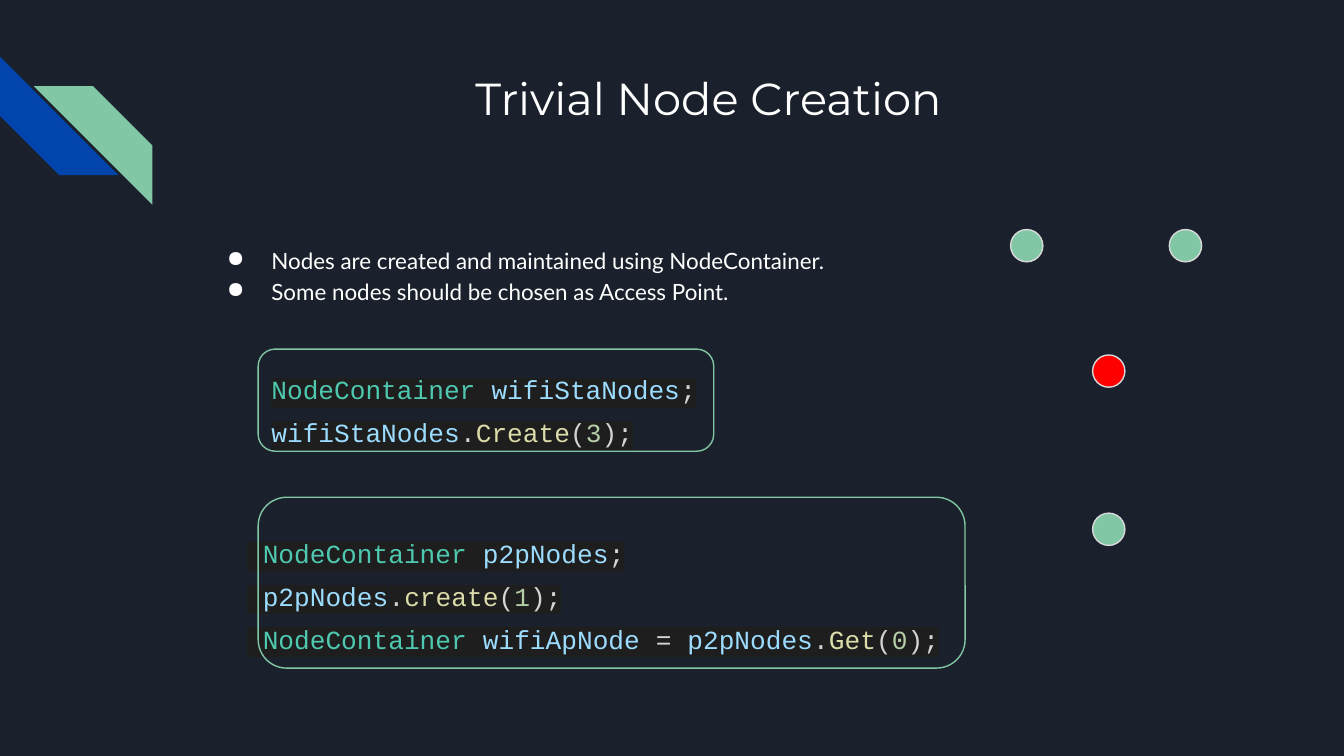
from dataclasses import dataclass

from lxml.etree import SubElement
from pptx import Presentation
from pptx.dml.color import RGBColor
from pptx.enum.shapes import MSO_SHAPE
from pptx.enum.text import PP_ALIGN
from pptx.oxml.ns import qn
from pptx.util import Cm, Pt


@dataclass(frozen=True)
class Theme:
    background: str = "1B212C"
    text: str = "FFFFFF"
    blue: str = "0145AC"
    green: str = "82C7A5"
    red: str = "FF0000"
    outline: str = "D9D9D9"
    code_background: str = "1E1E1E"
    code_type: str = "4EC9B0"
    code_variable: str = "9CDCFE"
    code_function: str = "DCDCAA"
    code_number: str = "B5CEA8"
    code_plain: str = "D4D4D4"
    title_font: str = "Montserrat"
    body_font: str = "Lato"
    code_font: str = "Courier New"
    title_size: int = 24
    body_size: int = 12
    code_size: int = 14
    line_width: float = 0.75


class SlideBuilder:
    def __init__(self, slide, theme):
        self.slide = slide
        self.theme = theme
        slide.background.fill.solid()
        slide.background.fill.fore_color.rgb = RGBColor.from_string(theme.background)

    def shape(self, kind, left, top, width, height, fill=None, line=None):
        shape = self.slide.shapes.add_shape(
            kind, Cm(left), Cm(top), Cm(width), Cm(height)
        )
        shape.shadow.inherit = False
        if fill:
            shape.fill.solid()
            shape.fill.fore_color.rgb = RGBColor.from_string(fill)
        else:
            shape.fill.background()
        if line:
            shape.line.color.rgb = RGBColor.from_string(line)
            shape.line.width = Pt(self.theme.line_width)
        else:
            shape.line.fill.background()
        return shape

    def stripe(self, left, top, color, rotation):
        stripe = self.shape(MSO_SHAPE.DIAGONAL_STRIPE, left, top, 2.24, 2.24, color)
        stripe.rotation = rotation

    def node(self, left, top, color):
        self.shape(MSO_SHAPE.FLOWCHART_CONNECTOR, left, top, 0.61, 0.61,
                   color, self.theme.outline)

    def frame(self, left, top, width, height):
        self.shape(MSO_SHAPE.ROUNDED_RECTANGLE, left, top, width, height,
                   line=self.theme.green)

    def text_box(self, left, top, width, height, lines):
        box = self.slide.shapes.add_textbox(Cm(left), Cm(top), Cm(width), Cm(height))
        text_frame = box.text_frame
        text_frame.word_wrap = True
        text_frame.margin_left = text_frame.margin_right = Cm(0.25)
        text_frame.margin_top = text_frame.margin_bottom = Cm(0.25)
        text_frame.text = "\n".join(lines)
        return text_frame.paragraphs

    def format_run(self, run, font, size, color):
        run.font.name = font
        run.font.size = Pt(size)
        run.font.color.rgb = RGBColor.from_string(color)

    def title(self, left, top, width, height, text):
        theme = self.theme
        for paragraph in self.text_box(left, top, width, height, [text]):
            paragraph.alignment = PP_ALIGN.CENTER
            self.format_run(paragraph.runs[0], theme.title_font,
                            theme.title_size, theme.text)

    def bullets(self, left, top, width, height, lines):
        theme = self.theme
        for paragraph in self.text_box(left, top, width, height, lines):
            paragraph.line_spacing = 1.15
            self.format_run(paragraph.runs[0], theme.body_font,
                            theme.body_size, theme.text)
            properties = paragraph._p.get_or_add_pPr()
            properties.set("marL", str(Cm(1.27)))
            properties.set("indent", str(Cm(-0.84)))
            bullet_color = SubElement(properties, qn("a:buClr"))
            SubElement(bullet_color, qn("a:srgbClr"), val=theme.text)
            SubElement(properties, qn("a:buChar"), char="●")

    def code(self, left, top, width, height, lines):
        theme = self.theme
        paragraphs = self.text_box(left, top, width, height, [""] * len(lines))
        for paragraph, tokens in zip(paragraphs, lines):
            paragraph.line_spacing = 1.36
            for text, color in tokens:
                run = paragraph.add_run()
                run.text = text
                self.format_run(run, theme.code_font, theme.code_size, color)
                self.highlight(run)

    def highlight(self, run):
        properties = run.font._element
        highlight = SubElement(properties, qn("a:highlight"))
        SubElement(highlight, qn("a:srgbClr"), val=self.theme.code_background)
        properties.find(qn("a:solidFill")).addnext(highlight)


def declaration(theme, name):
    return [("NodeContainer", theme.code_type), (" ", theme.code_plain),
            (name, theme.code_variable)]


def call(theme, owner, method, argument):
    return [(owner, theme.code_variable), (".", theme.code_plain),
            (method, theme.code_function), ("(", theme.code_plain),
            (argument, theme.code_number), (");", theme.code_plain)]


def main():
    theme = Theme()
    presentation = Presentation()
    presentation.slide_width = Cm(25.4)
    presentation.slide_height = Cm(14.29)
    slide = presentation.slides.add_slide(presentation.slide_layouts[6])
    builder = SlideBuilder(slide, theme)

    builder.stripe(0, 1.07, theme.blue, 270)
    builder.stripe(0.64, 1.63, theme.green, 90)
    builder.title(3.61, 1.09, 19.56, 2.54, "Trivial Node Creation")
    builder.bullets(3.61, 4.34, 12.52, 2.36, [
        "Nodes are created and maintained using NodeContainer.",
        "Some nodes should be chosen as Access Point.",
    ])

    for left, top in ((19.1, 4.34), (22.1, 4.34), (20.65, 9.7)):
        builder.node(left, top, theme.green)
    builder.node(20.65, 6.71, theme.red)

    end = (";", theme.code_plain)
    equals = (" = ", theme.code_plain)
    margin = (" ", theme.code_plain)
    builder.code(4.88, 6.6, 11.79, 3.86, [
        declaration(theme, "wifiStaNodes") + [end],
        call(theme, "wifiStaNodes", "Create", "3"),
    ])
    builder.code(4.42, 9.7, 16.56, 3.56, [
        [margin] + declaration(theme, "p2pNodes") + [end],
        [margin] + call(theme, "p2pNodes", "create", "1"),
        [margin] + declaration(theme, "wifiApNode") + [equals]
        + call(theme, "p2pNodes", "Get", "0"),
    ])
    builder.frame(4.88, 6.6, 8.61, 1.93)
    builder.frame(4.88, 9.4, 13.36, 3.23)

    presentation.save("out.pptx")


if __name__ == "__main__":
    main()
